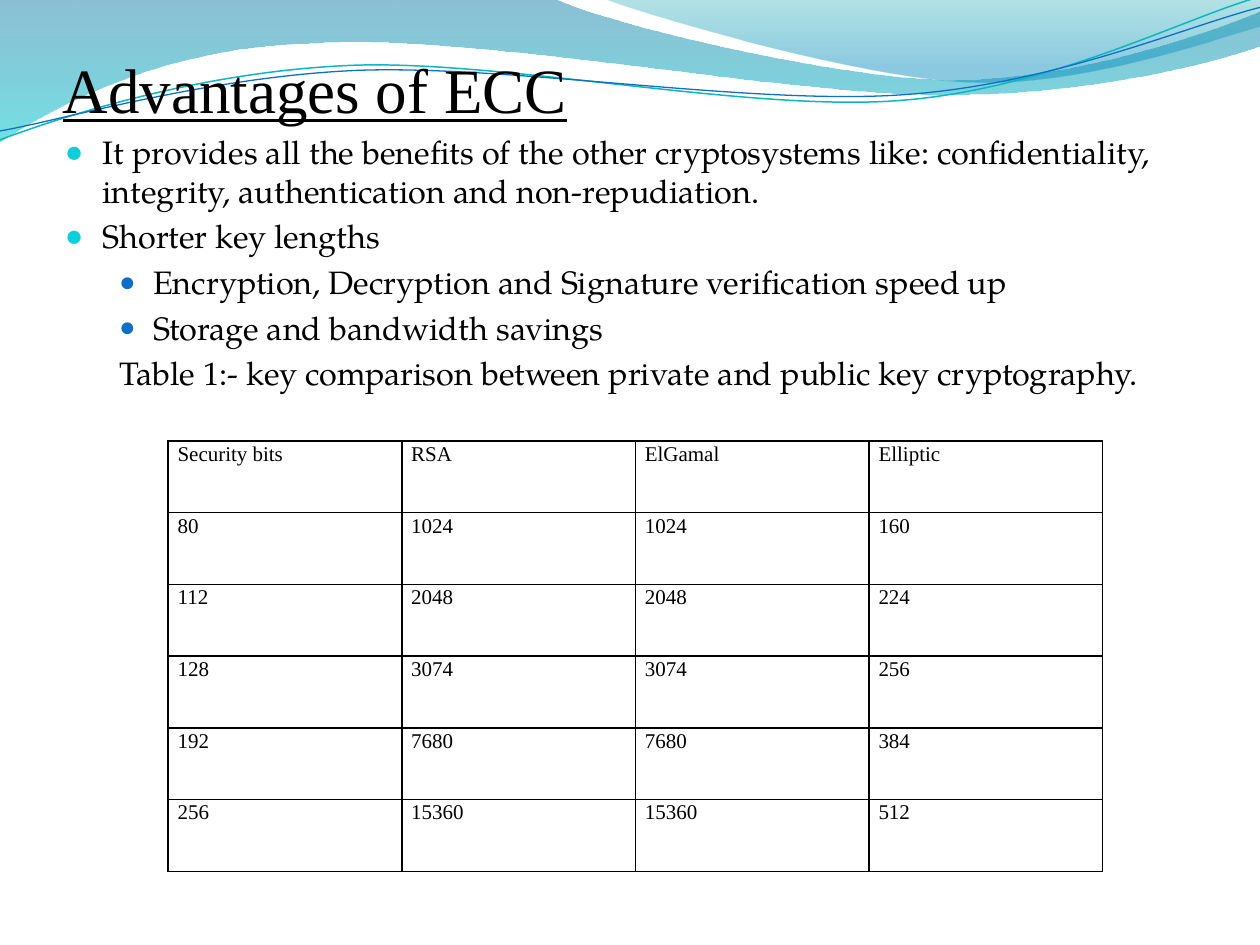
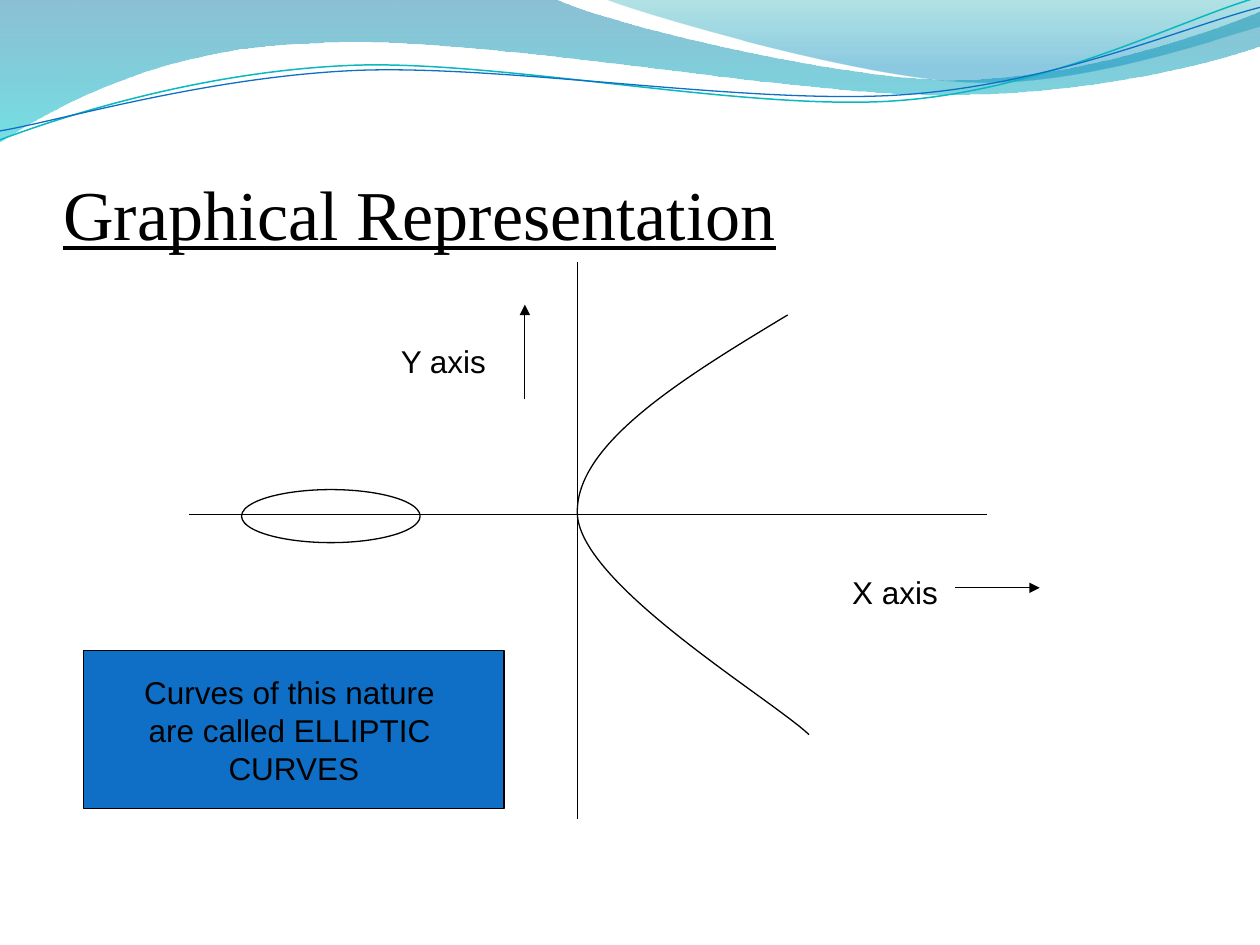
from collections import namedtuple

from lxml.etree import SubElement
from pptx import Presentation
from pptx.dml.color import RGBColor
from pptx.enum.shapes import MSO_CONNECTOR, MSO_SHAPE
from pptx.enum.text import MSO_ANCHOR, PP_ALIGN
from pptx.oxml.ns import qn
from pptx.util import Cm, Pt

BLACK = RGBColor(0x00, 0x00, 0x00)
BLUE = RGBColor(0x0F, 0x6F, 0xC6)
TEAL = RGBColor(0x0A, 0xB8, 0xBF)
CYAN = RGBColor(0x0B, 0xD0, 0xD9)
SWASH_TOP = RGBColor(0x00, 0x74, 0xA1)
SWASH_BOTTOM = RGBColor(0x00, 0xC6, 0xCF)
VEIL_TOP = RGBColor(0x00, 0xA1, 0xA9)
VEIL_BOTTOM = RGBColor(0x00, 0x8B, 0xBF)

Box = namedtuple("Box", "left top width height")

SLIDE = Box(0, 0, 25.4, 19.05)
BAND = Box(0, 0, 25.4, 2.87)

TITLE_FONT = {"name": "Times New Roman", "underline": True}
BODY_FONT = {"name": "TeX Gyre Pagella", "size": Pt(18.5)}
CELL_FONT = {"name": "Times New Roman", "size": Pt(12)}
LABEL_FONT = {"name": "Arial", "size": Pt(18)}

TITLE_FRAME = {"word_wrap": True, "vertical_anchor": MSO_ANCHOR.BOTTOM,
               "margin_left": 0, "margin_right": 0,
               "margin_top": Cm(0.13), "margin_bottom": 0}
CELL_FORMAT = {"margin_left": Cm(0.19), "margin_right": Cm(0.19),
               "margin_top": 0, "margin_bottom": 0}
CELL_PARAGRAPH = {"alignment": PP_ALIGN.JUSTIFY, "line_spacing": 1.07,
                  "space_after": Pt(8)}

SWASH = [
    [(0, 0)], [(11.18, -0.03)],
    [(12.09, 0.43), (16.87, 1.6), (19.25, 1.6)],
    [(21.67, 1.6), (24.33, 0.66), (25.4, 0.23)],
    [(25.43, 0.91)],
    [(24.97, 1.12), (22.1, 1.93), (18.95, 1.91)],
    [(15.8, 1.91), (9.7, 0.71), (6.53, 0.86)],
    [(3.28, 0.91), (1.17, 2.11), (-0.03, 2.87)],
    [(0, 0)],
]
VEIL = [
    [(12.17, -0.03)],
    [(12.93, 0.28), (17.32, 1.57), (19.53, 1.65)],
    [(21.74, 1.75), (24.41, 0.81), (25.4, 0.53)],
    [(25.4, 0)],
    [(12.17, -0.03)],
]
TEAL_WAVE = [
    [(0, 2.82)],
    [(1.22, 2.36), (4.01, 1.45), (7.04, 1.32)],
    [(10.03, 1.19), (15.06, 2.26), (18.11, 2.03)],
    [(21.16, 1.8), (23.83, 0.38), (25.35, -0.05)],
]
BLUE_WAVE = [
    [(0, 2.64)],
    [(1.19, 2.44), (4.17, 1.55), (7.19, 1.42)],
    [(10.24, 1.3), (15.16, 2.13), (18.21, 1.91)],
    [(21.26, 1.7), (23.9, 0.53), (25.4, 0.15)],
]
ELLIPTIC_BRANCH = [
    [(12.07, 1.07)],
    [(9.91, 2.37), (7.77, 3.69), (7.83, 5.09)],
    [(7.9, 6.51), (11.71, 8.79), (12.5, 9.53)],
]

ADVANTAGES = [
    ("It provides all the benefits of the other cryptosystems like: confidentiality, "
     "integrity, authentication and non-repudiation.", 0, True),
    ("Shorter key lengths", 0, True),
    ("Encryption, Decryption and Signature verification speed up", 1, True),
    ("Storage and bandwidth savings", 1, True),
    ("Table 1:- key comparison between private and public key cryptography.", 1, False),
]
LEVELS = [
    {"margin": 0.76, "hanging": 0.76, "color": CYAN, "percent": 95},
    {"margin": 1.78, "hanging": 0.69, "color": BLUE, "percent": 85},
]
KEY_SIZES = [
    ("Security bits", "RSA", "ElGamal", "Elliptic"),
    ("80", "1024", "1024", "160"),
    ("112", "2048", "2048", "224"),
    ("128", "3074", "3074", "256"),
    ("192", "7680", "7680", "384"),
    ("256", "15360", "15360", "512"),
]


def apply(target, formats):
    """Set every format value on the target."""
    for name, value in formats.items():
        setattr(target, name, value)


def write(paragraph, text, font):
    """Add one black run with the given font values."""
    run = paragraph.add_run()
    run.text = text
    apply(run.font, font)
    run.font.color.rgb = BLACK


def place(box, x, y, width, height):
    """Return slide lengths of an area given relative to a box."""
    return Cm(box.left + x), Cm(box.top + y), Cm(width), Cm(height)


def stroke(shape, color=BLACK, width=0.75):
    """Give a shape a solid line."""
    shape.line.color.rgb = color
    shape.line.width = Pt(width)


def add_curve(slide, box, segments, close=False):
    """Draw a freeform of lines and cubic segments, relative to the box."""
    located = [[(Cm(box.left + x), Cm(box.top + y)) for x, y in segment]
               for segment in segments]
    builder = slide.shapes.build_freeform(*located[0][0])
    builder.add_line_segments([segment[-1] for segment in located[1:]], close=close)
    curve = builder.convert_to_shape()
    steps = list(curve._element.iter(qn("a:lnTo")))
    for step, segment in zip(steps, located[1:]):
        if len(segment) == 3:
            step.tag = qn("a:cubicBezTo")
            step.remove(step[0])
            for x, y in segment:
                SubElement(step, qn("a:pt"), x=str(x - curve.left), y=str(y - curve.top))
    curve.shadow.inherit = False
    curve.fill.background()
    return curve


def add_band(slide, box):
    """Draw the translucent swashes and the two waves across the top."""
    for segments, stops in (
        (SWASH, [(0, SWASH_TOP, 45), (1, SWASH_BOTTOM, 55)]),
        (VEIL, [(0, VEIL_TOP, 30), (0.8, VEIL_BOTTOM, 45)]),
    ):
        swash = add_curve(slide, box, segments, close=True)
        swash.line.fill.background()
        swash.fill.gradient()
        swash.fill.gradient_angle = 270
        for stop, (position, color, _) in zip(swash.fill.gradient_stops, stops):
            stop.position = position
            stop.color.rgb = color
        for node, (_, _, opacity) in zip(swash._element.iter(qn("a:gs")), stops):
            SubElement(node[0], qn("a:alpha"), val=str(opacity * 1000))
    for segments, color, width in ((TEAL_WAVE, TEAL, 0.85), (BLUE_WAVE, BLUE, 0.75)):
        stroke(add_curve(slide, box, segments), color, width)


def add_title(slide, box, text, size):
    """Write the underlined title at the bottom of its box."""
    frame = slide.shapes.add_textbox(*place(box, 0, 0, box.width, box.height)).text_frame
    apply(frame, TITLE_FRAME)
    write(frame.paragraphs[0], text, {**TITLE_FONT, "size": Pt(size)})


def add_bullet(properties, color, percent):
    """Add a coloured round bullet to paragraph properties."""
    SubElement(SubElement(properties, qn("a:buClr")), qn("a:srgbClr"), val=str(color))
    SubElement(properties, qn("a:buSzPct"), val=str(percent * 1000))
    SubElement(properties, qn("a:buFont"), typeface="Arial")
    SubElement(properties, qn("a:buChar"), char="●")


def add_advantages(slide, box):
    """Write the two-level list of advantages."""
    frame = slide.shapes.add_textbox(*place(box, 0, 0, box.width, box.height)).text_frame
    frame.word_wrap = True
    for index, (text, depth, bulleted) in enumerate(ADVANTAGES):
        paragraph = frame.add_paragraph() if index else frame.paragraphs[0]
        level = LEVELS[depth]
        apply(paragraph, {"level": depth, "space_before": Pt(3.8)})
        write(paragraph, text, BODY_FONT)
        properties = paragraph._p.get_or_add_pPr()
        properties.set("marL", str(Cm(level["margin"])))
        properties.set("indent", str(-Cm(level["hanging"])))
        if bulleted:
            add_bullet(properties, level["color"], level["percent"])


def add_borders(cell):
    """Give a cell thin black lines on all four sides."""
    properties = cell._tc.get_or_add_tcPr()
    for index, side in enumerate(("a:lnL", "a:lnR", "a:lnT", "a:lnB")):
        border = SubElement(properties, qn(side), w=str(Pt(1)))
        SubElement(SubElement(border, qn("a:solidFill")), qn("a:srgbClr"), val=str(BLACK))
        properties.insert(index, border)


def add_key_table(slide, box):
    """Build the table of key sizes on an even grid."""
    area = place(box, 0, 0, box.width, box.height)
    table = slide.shapes.add_table(len(KEY_SIZES), len(KEY_SIZES[0]), *area).table
    apply(table, {"first_row": False, "horz_banding": False})
    for column in table.columns:
        column.width = Cm(box.width / len(KEY_SIZES[0]))
    for row, values in zip(table.rows, KEY_SIZES):
        row.height = Cm(box.height / len(KEY_SIZES))
        for cell, value in zip(row.cells, values):
            apply(cell, CELL_FORMAT)
            cell.fill.background()
            add_borders(cell)
            paragraph = cell.text_frame.paragraphs[0]
            apply(paragraph, CELL_PARAGRAPH)
            write(paragraph, value, CELL_FONT)


def add_line(slide, box, start, end, arrow=False):
    """Draw a straight line relative to the box, with an optional arrowhead."""
    ends = [Cm(corner + offset) for point in (start, end)
            for corner, offset in zip((box.left, box.top), point)]
    line = slide.shapes.add_connector(MSO_CONNECTOR.STRAIGHT, *ends)
    stroke(line)
    properties = line._element.spPr
    if arrow:
        SubElement(properties.find(qn("a:ln")), qn("a:tailEnd"), type="triangle")
    SubElement(properties, qn("a:effectLst"))


def add_graph(slide, box):
    """Draw the axes, both parts of the curve and the axis labels."""
    origin_x, origin_y = 7.83, 5.09
    add_line(slide, box, (origin_x, 0), (origin_x, box.height))
    add_line(slide, box, (0, origin_y), (box.width, origin_y))

    oval = slide.shapes.add_shape(MSO_SHAPE.OVAL, *place(box, 1.06, 4.59, 3.6, 1.07))
    oval.shadow.inherit = False
    oval.fill.background()
    stroke(oval)
    stroke(add_curve(slide, box, ELLIPTIC_BRANCH))

    for text, area, start, end in (
        ("X axis", (13.12, 6.15, 4.01, 1.02), (15.44, 6.57), (17.15, 6.57)),
        ("Y axis", (4.02, 1.5, 2.97, 1.02), (6.77, 2.77), (6.77, 0.86)),
    ):
        label = slide.shapes.add_textbox(*place(box, *area)).text_frame
        label.word_wrap = True
        write(label.paragraphs[0], text, LABEL_FONT)
        add_line(slide, box, start, end, arrow=True)


def add_callout(slide, box):
    """Draw the blue box that names the curves."""
    callout = slide.shapes.add_shape(MSO_SHAPE.RECTANGLE,
                                     *place(box, 0, 0, box.width, box.height))
    callout.shadow.inherit = False
    callout.fill.solid()
    callout.fill.fore_color.rgb = BLUE
    stroke(callout)
    frame = callout.text_frame
    apply(frame, {"word_wrap": False, "vertical_anchor": MSO_ANCHOR.MIDDLE})
    lines = ("Curves of this nature ", "are called ELLIPTIC ", "CURVES")
    for index, text in enumerate(lines):
        paragraph = frame.add_paragraph() if index else frame.paragraphs[0]
        paragraph.alignment = PP_ALIGN.CENTER
        write(paragraph, text, LABEL_FONT)


def add_slide(deck):
    """Add a blank slide with the shared band."""
    slide = deck.slides.add_slide(deck.slide_layouts[6])
    add_band(slide, BAND)
    return slide


def build_advantages(deck):
    """Build the slide with the list and the key table."""
    slide = add_slide(deck)
    add_title(slide, Box(1.27, 0.76, 22.86, 1.78), "Advantages of ECC", 36)
    add_advantages(slide, Box(1.06, 2.54, 22.86, 6.15))
    add_key_table(slide, Box(3.39, 8.89, 18.84, 8.68))


def build_graph(deck):
    """Build the slide with the elliptic curve."""
    slide = add_slide(deck)
    add_title(slide, Box(1.28, 1.96, 22.86, 3.17), "Graphical Representation", 40)
    add_graph(slide, Box(3.81, 5.28, 16.08, 11.23))
    add_callout(slide, Box(1.69, 13.12, 8.47, 3.18))


def main():
    """Build and save the deck."""
    deck = Presentation()
    apply(deck, {"slide_width": Cm(SLIDE.width), "slide_height": Cm(SLIDE.height)})
    build_advantages(deck)
    build_graph(deck)
    deck.save("out.pptx")


if __name__ == "__main__":
    main()
